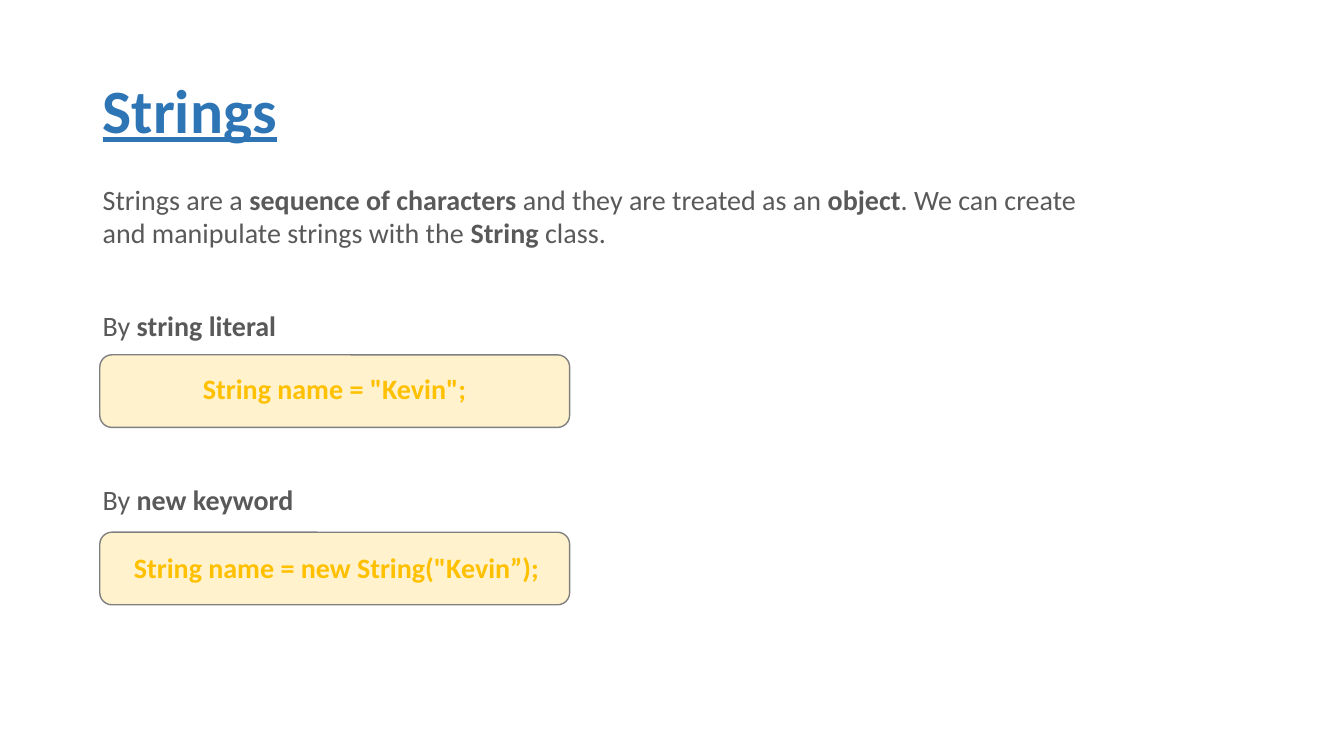
"""Build the slide that introduces strings and the two ways to create them."""
from dataclasses import dataclass

from pptx import Presentation
from pptx.dml.color import RGBColor
from pptx.enum.shapes import MSO_SHAPE as Preset
from pptx.enum.text import MSO_ANCHOR as Anchor, PP_ALIGN as Align
from pptx.util import Inches, Pt

COLORS = {
    "title": "2E75B6",
    "body": "595959",
    "code": "FFC000",
    "panel": "FFF2CC",
    "border": "808080",
}
FONT = "Calibri"
PANEL_LEFT, PANEL_WIDTH, PANEL_HEIGHT = 0.99, 4.66, 0.72


@dataclass(frozen=True)
class Style:
    color: str
    size: int = 20
    underline: bool = False
    align: Align = Align.LEFT
    anchor: Anchor = Anchor.TOP
    line_spacing: float = 1.0


@dataclass(frozen=True)
class TextBlock:
    left: float
    top: float
    width: float
    height: float
    style: Style
    runs: tuple[tuple[str, bool], ...]


TITLE = Style("title", size=44, underline=True, anchor=Anchor.MIDDLE, line_spacing=0.9)
BODY = Style("body")
CODE = Style("code", align=Align.CENTER)

PANEL_TOPS = (3.52, 5.28)
TEXT_BLOCKS = (
    TextBlock(0.92, 0.4, 11.5, 1.45, TITLE, (("Strings", True),)),
    TextBlock(0.92, 1.76, 10.29, 0.76, BODY, (
        ("Strings are a ", False),
        ("sequence of characters ", True),
        ("and they are treated as an ", False),
        ("object", True),
        (". We can create and manipulate strings with the ", False),
        ("String", True),
        (" class.", False),
    )),
    TextBlock(0.92, 3.01, 10.29, 0.49, BODY, (("By ", False), ("string literal", True))),
    TextBlock(1.66, 3.64, 3.32, 0.51, CODE, (('String name = "Kevin";', True),)),
    TextBlock(0.92, 4.74, 3.19, 0.61, BODY, (("By ", False), ("new keyword", True))),
    TextBlock(0.21, 5.41, 6.26, 0.64, CODE, (('String name = new String("Kevin”);', True),)),
)


def rgb(name: str) -> RGBColor:
    return RGBColor.from_string(COLORS[name])


def add_panel(slide, top: float) -> None:
    shape = slide.shapes.add_shape(
        Preset.ROUNDED_RECTANGLE,
        Inches(PANEL_LEFT), Inches(top), Inches(PANEL_WIDTH), Inches(PANEL_HEIGHT),
    )
    shape.shadow.inherit = False
    shape.fill.solid()
    shape.fill.fore_color.rgb = rgb("panel")
    shape.line.color.rgb = rgb("border")
    shape.line.width = Pt(1)


def add_text(slide, block: TextBlock) -> None:
    style = block.style
    shape = slide.shapes.add_textbox(
        Inches(block.left), Inches(block.top), Inches(block.width), Inches(block.height)
    )
    frame = shape.text_frame
    frame.word_wrap = True
    frame.vertical_anchor = style.anchor
    paragraph = frame.paragraphs[0]
    paragraph.alignment = style.align
    paragraph.line_spacing = style.line_spacing
    for text, bold in block.runs:
        run = paragraph.add_run()
        run.text = text
        run.font.name = FONT
        run.font.size = Pt(style.size)
        run.font.bold = bold
        run.font.underline = style.underline
        run.font.color.rgb = rgb(style.color)


def main() -> None:
    presentation = Presentation()
    presentation.slide_width = Inches(13.33)
    presentation.slide_height = Inches(7.5)
    slide = presentation.slides.add_slide(presentation.slide_layouts[6])
    for top in PANEL_TOPS:
        add_panel(slide, top)
    for block in TEXT_BLOCKS:
        add_text(slide, block)
    presentation.save("out.pptx")


main()
